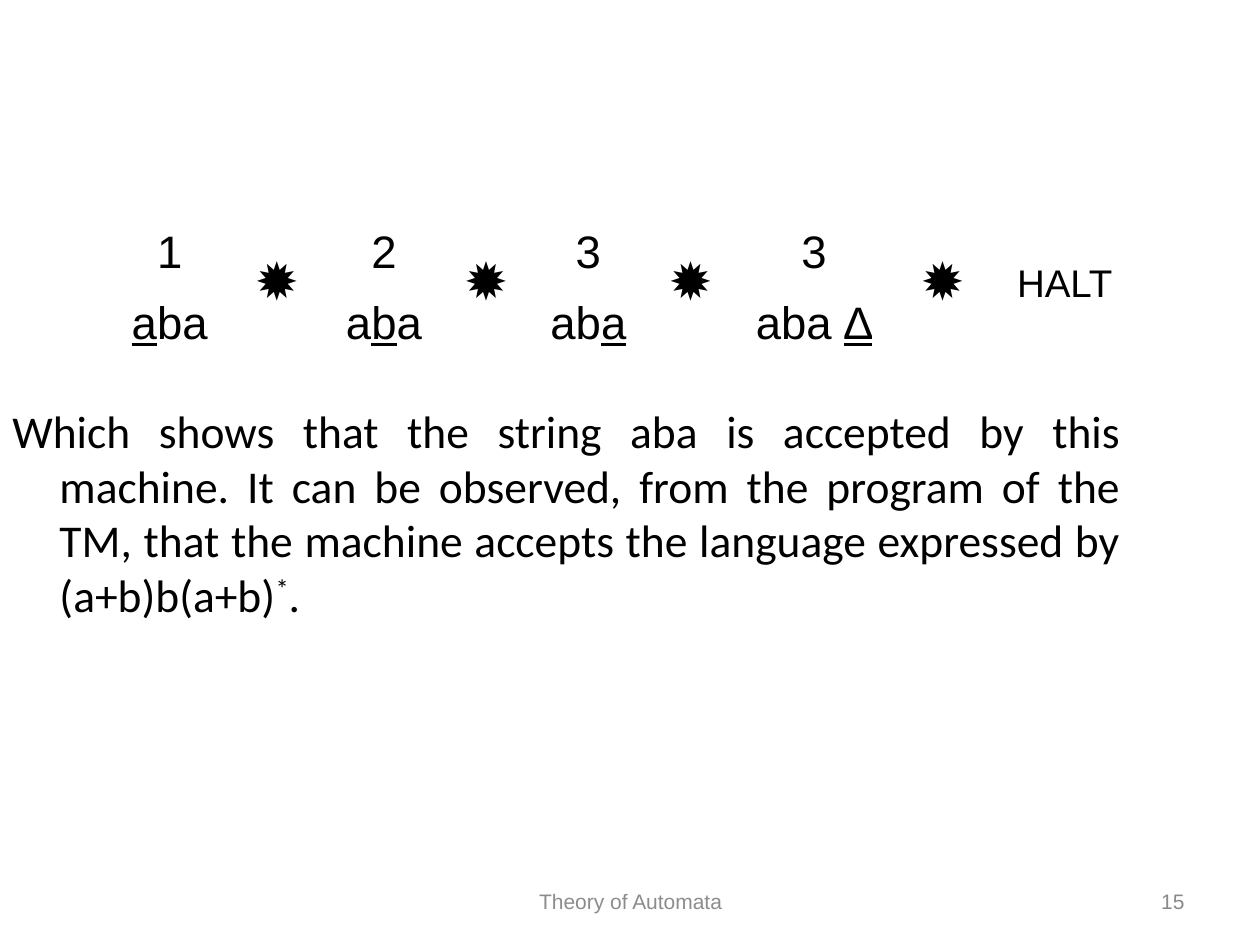
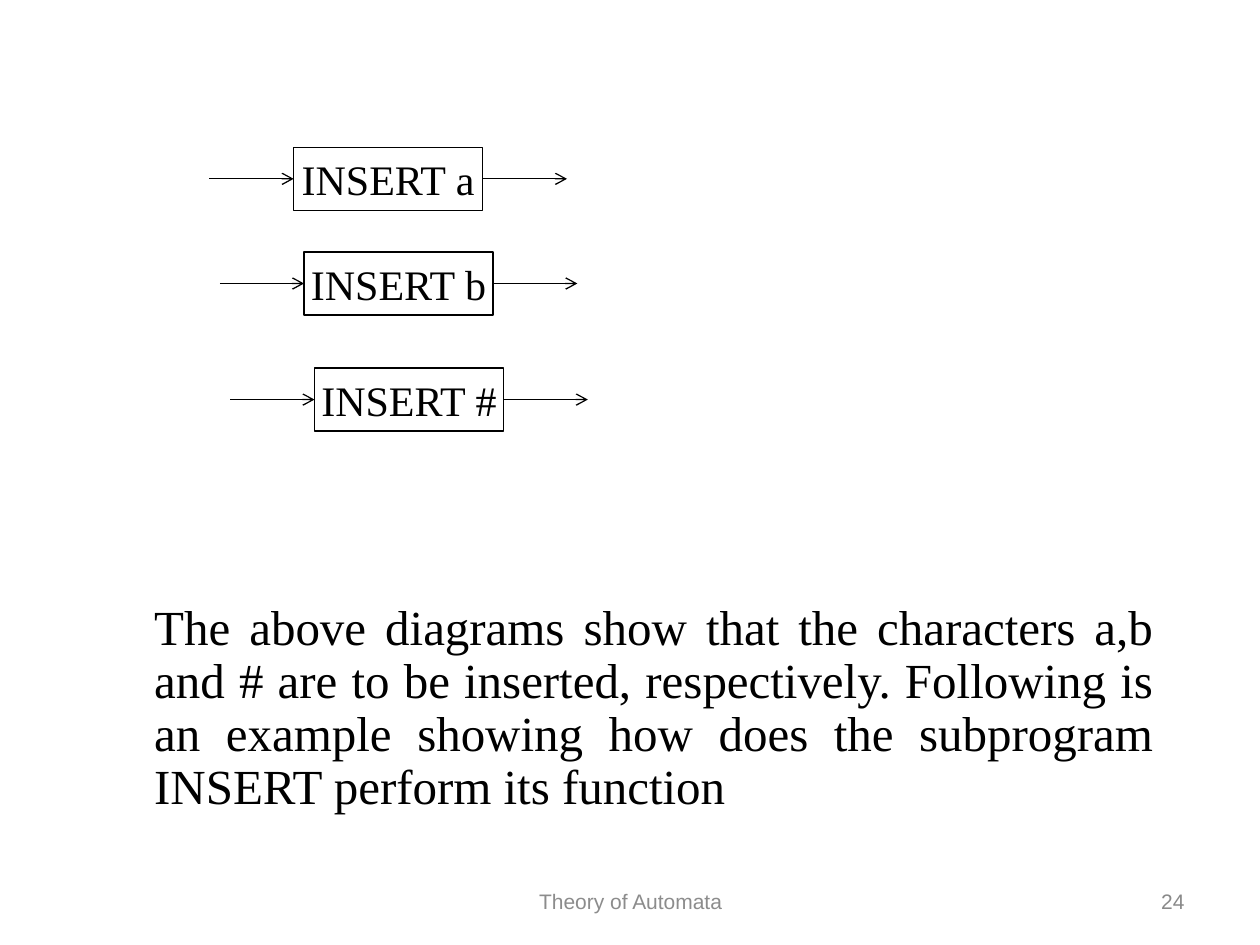
"""Build two lecture slides on Turing machines: a trace of aba and the INSERT subprogram."""
from dataclasses import dataclass

from lxml import etree
from pptx import Presentation
from pptx.dml.color import RGBColor
from pptx.enum.shapes import MSO_CONNECTOR, MSO_SHAPE
from pptx.enum.text import MSO_ANCHOR, PP_ALIGN
from pptx.oxml.ns import qn
from pptx.util import Cm, Pt

RECTANGLE = MSO_SHAPE.RECTANGLE
STRAIGHT = MSO_CONNECTOR.STRAIGHT
TOP, MIDDLE = MSO_ANCHOR.TOP, MSO_ANCHOR.MIDDLE
CENTER, RIGHT, JUSTIFY = PP_ALIGN.CENTER, PP_ALIGN.RIGHT, PP_ALIGN.JUSTIFY


@dataclass(frozen=True)
class Theme:
    ink: RGBColor = RGBColor(0, 0, 0)
    footer: RGBColor = RGBColor(0x8C, 0x8C, 0x8C)
    number: RGBColor = RGBColor(0x89, 0x89, 0x89)
    sans: str = "Arial"
    body: str = "Calibri"
    serif: str = "Times New Roman"
    footer_size: int = 12
    halt_size: int = 22
    box_size: int = 24
    trace_size: int = 26
    explanation_size: int = 28
    star_size: int = 30


THEME = Theme()


def add_runs(paragraph, pieces, font, size, color=THEME.ink, align=CENTER):
    """Write (text, mark) pieces as runs; marks are "", "underline" and "super"."""
    paragraph.alignment = align
    for text, mark in pieces:
        run = paragraph.add_run()
        run.text = text
        run.font.name = font
        run.font.size = Pt(size)
        run.font.color.rgb = color
        if mark == "underline":
            run.font.underline = True
        elif mark == "super":
            run._r.get_or_add_rPr().set("baseline", "30000")


def add_text(slide, place, pieces, font, size, color, align, anchor=TOP):
    """Add a wrapped text box at place, in centimetres, and return its paragraph."""
    frame = slide.shapes.add_textbox(*map(Cm, place)).text_frame
    frame.word_wrap = True
    frame.vertical_anchor = anchor
    paragraph = frame.paragraphs[0]
    add_runs(paragraph, pieces, font, size, color, align)
    return paragraph


prs = Presentation()
prs.slide_width, prs.slide_height = Cm(25.4), Cm(19.05)
blank = prs.slide_layouts[6]
trace_slide = prs.slides.add_slide(blank)
insert_slide = prs.slides.add_slide(blank)

for slide, number in ((trace_slide, "15"), (insert_slide, "24")):
    add_text(slide, (8.69, 17.65, 8.05, 1.02), [("Theory of Automata", "")],
             THEME.sans, THEME.footer_size, THEME.footer, CENTER, MIDDLE)
    add_text(slide, (18.21, 17.65, 5.92, 1.02), [(number, "")],
             THEME.sans, THEME.footer_size, THEME.number, RIGHT, MIDDLE)

conclusion = add_text(
    trace_slide, (0, 8, 22.86, 4.6),
    [("Which shows that the string aba is accepted by this machine. It can be observed, "
      "from the program of the TM, that the machine accepts the language expressed by "
      "(a+b)b(a+b)", ""), ("*", "super"), (".", "")],
    THEME.body, THEME.trace_size, THEME.ink, JUSTIFY)
hanging = conclusion._p.get_or_add_pPr()
hanging.set("marL", str(Cm(0.95)))
hanging.set("indent", str(-Cm(0.95)))

column_widths = (2.16, 2.16, 2.16, 1.96, 2.16, 1.96, 3.02, 2.16, 2.77)
row_height = 1.44
configurations = (
    ("1", [("a", "underline"), ("ba", "")]),
    ("2", [("a", ""), ("b", "underline"), ("a", "")]),
    ("3", [("ab", ""), ("a", "underline")]),
    ("3", [("aba ", ""), ("∆", "underline")]),
)
trace = trace_slide.shapes.add_table(
    2, len(column_widths), Cm(2.34), Cm(4.45),
    Cm(sum(column_widths)), Cm(2 * row_height)).table
trace.first_row = trace.horz_banding = False
for column, width in zip(trace.columns, column_widths):
    column.width = Cm(width)
for row in trace.rows:
    row.height = Cm(row_height)
    for cell in row.cells:
        cell.fill.background()

for step, (state, tape) in enumerate(configurations):
    column = 2 * step
    for row, pieces in enumerate(([(state, "")], tape)):
        add_runs(trace.cell(row, column).text_frame.paragraphs[0], pieces,
                 THEME.sans, THEME.trace_size)

separators = [(2 * step + 1, "✹", THEME.star_size, 0.66) for step in range(len(configurations))]
for column, text, size, margin in separators + [(8, "HALT", THEME.halt_size, 0.84)]:
    cell = trace.cell(0, column)
    cell.merge(trace.cell(1, column))
    cell.margin_top = Cm(margin)
    add_runs(cell.text_frame.paragraphs[0], [(text, "")], THEME.sans, size)

box_width, box_height, arrow_length = 3.81, 1.27, 1.7
for index, (symbol, top) in enumerate((("a", 2.97), ("b", 5.08), ("#", 7.42))):
    left = 5.92 + 0.21 * index
    diagram = insert_slide.shapes.add_group_shape().shapes
    subprogram = diagram.add_shape(RECTANGLE, Cm(left), Cm(top), Cm(box_width), Cm(box_height))
    subprogram.shadow.inherit = False
    subprogram.fill.background()
    subprogram.line.color.rgb = THEME.ink
    subprogram.line.width = Pt(0.75)
    subprogram.text_frame.word_wrap = False
    subprogram.text_frame.vertical_anchor = MIDDLE
    add_runs(subprogram.text_frame.paragraphs[0], [(f"INSERT {symbol}", "")],
             THEME.serif, THEME.box_size)
    middle = Cm(top + box_height / 2)
    for start in (left - arrow_length, left + box_width):
        arrow = diagram.add_connector(STRAIGHT, Cm(start), middle, Cm(start + arrow_length), middle)
        arrow.line.color.rgb = THEME.ink
        arrow.line.width = Pt(0.75)
        etree.SubElement(arrow.line._get_or_add_ln(), qn("a:tailEnd"), type="arrow")
        etree.SubElement(arrow._element.spPr, qn("a:effectLst"))

explanation = add_text(
    insert_slide, (2.86, 12.04, 20.64, 4.9),
    [("The above diagrams show that the characters a,b and # are to be inserted, "
      "respectively. Following is an example showing how does the subprogram INSERT "
      "perform its function", "")],
    THEME.serif, THEME.explanation_size, THEME.ink, JUSTIFY)
explanation.line_spacing = 0.9

prs.save("out.pptx")
